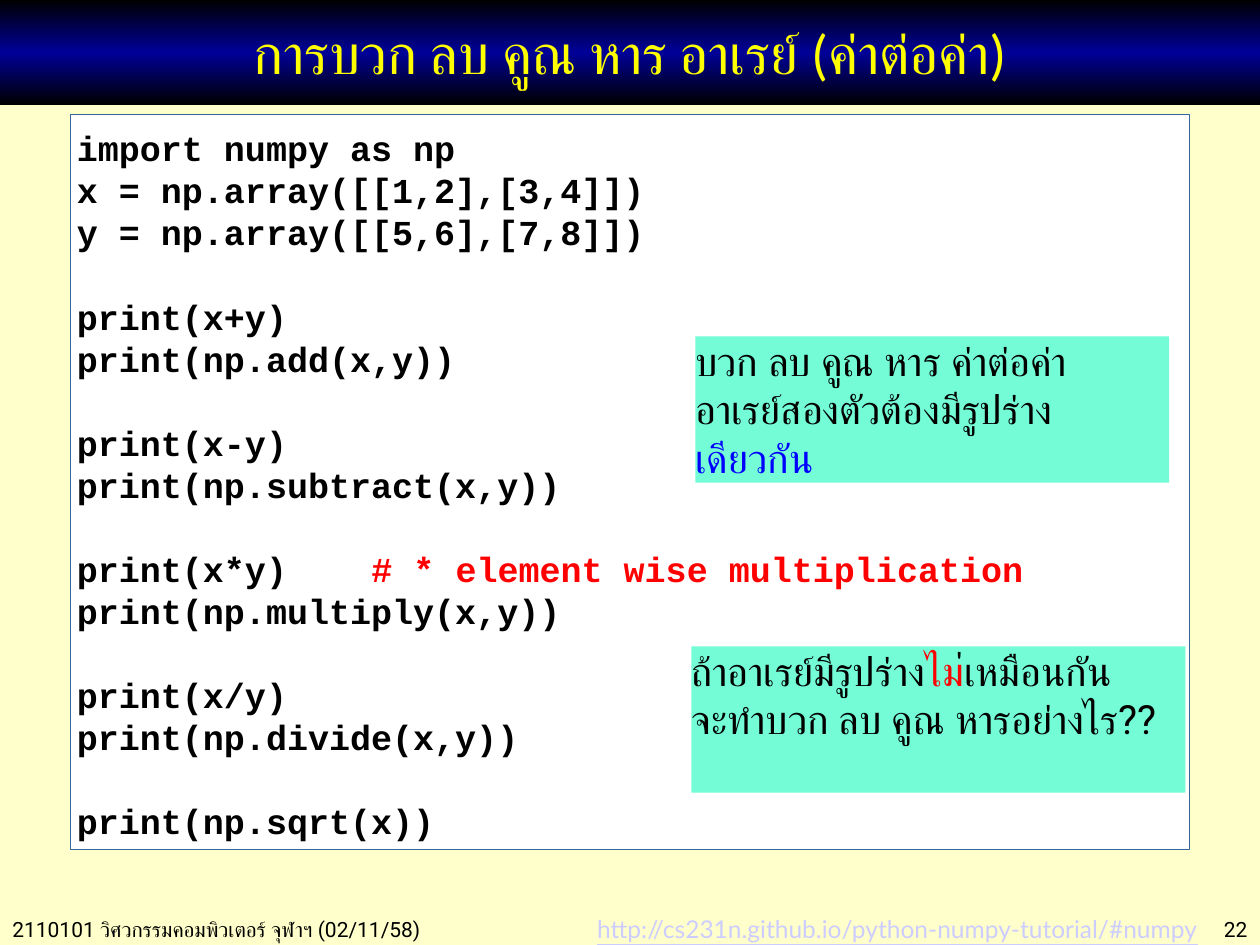
"""Build a lecture slide on element-wise array arithmetic in NumPy."""
from copy import deepcopy

from lxml.etree import SubElement
from pptx import Presentation
from pptx.dml.color import RGBColor
from pptx.enum.shapes import MSO_SHAPE
from pptx.enum.text import MSO_ANCHOR, PP_ALIGN
from pptx.oxml.ns import qn
from pptx.util import Cm, Pt


def color(value):
    return RGBColor.from_string(value)


def write(shape, lines, font="Roboto", size=12, fill="000000", bold=False, underline=False,
          align=PP_ALIGN.LEFT, anchor=MSO_ANCHOR.TOP, wrap=True, insets=(0.25, 0.13, 0.25, 0.13),
          pitch=None):
    frame = shape.text_frame
    frame.word_wrap = wrap
    frame.vertical_anchor = anchor
    frame.margin_left, frame.margin_top, frame.margin_right, frame.margin_bottom = map(Cm, insets)
    paragraph, gap = frame.paragraphs[0], 0
    for index, line in enumerate(lines):
        if not line:
            gap += pitch
            continue
        if index:
            paragraph = frame.add_paragraph()
        paragraph.alignment = align
        if pitch:
            paragraph.line_spacing = Pt(pitch)
        if gap:
            paragraph.space_before, gap = Pt(gap), 0
        for text, run_fill in [(line, fill)] if isinstance(line, str) else line:
            run = paragraph.add_run()
            run.text = text
            run.font.name, run.font.size = font, Pt(size)
            run.font.bold, run.font.underline = bold, underline
            run.font.color.rgb = color(run_fill)
            SubElement(run.font._element, qn("a:cs"), typeface=font)


presentation = Presentation()
presentation.slide_width, presentation.slide_height = Cm(25.4), Cm(19.05)
slide = presentation.slides.add_slide(presentation.slide_layouts[5])
slide.background.fill.solid()
slide.background.fill.fore_color.rgb = color("FFFFCC")

title = slide.shapes.title
title.left, title.top, title.width, title.height = Cm(0), Cm(0), Cm(25.4), Cm(2.11)
title.fill.gradient()
title.fill.gradient_angle = 90
first_stop = title.fill.gradient_stops[0]._gs
first_stop.addnext(deepcopy(first_stop))
for stop, position, value in zip(title.fill.gradient_stops, (0, 0.5, 1), ("000000", "000099", "000000")):
    stop.position = position
    stop.color.rgb = color(value)
write(title, ["การบวก ลบ คูณ หาร อาเรย์ (ค่าต่อค่า)"], font="Calibri", size=32, fill="FFFF00",
      align=PP_ALIGN.CENTER, anchor=MSO_ANCHOR.MIDDLE)

code = [
    "import numpy as np",
    "x = np.array([[1,2],[3,4]])",
    "y = np.array([[5,6],[7,8]])",
    "",
    "print(x+y)",
    "print(np.add(x,y))",
    "",
    "print(x-y)",
    "print(np.subtract(x,y))",
    "",
    [("print(x*y)    ", "000000"), ("# * element wise multiplication", "FF0000")],
    "print(np.multiply(x,y))",
    "",
    "print(x/y)",
    "print(np.divide(x,y))",
    "",
    "print(np.sqrt(x))",
]
same_shape_note = [
    "บวก ลบ คูณ หาร ค่าต่อค่า",
    [("อาเรย์สองตัวต้องมีรูปร่าง", "000000"), ("เดียวกัน", "0000FF")],
]
other_shape_note = [
    [("ถ้าอาเรย์มีรูปร่าง", "000000"), ("ไม", "FF0000"), ("่เหมือนกัน", "000000")],
    "จะทำบวก ลบ คูณ หารอย่างไร??",
]
code_format = dict(font="Courier New", size=20, bold=True, pitch=24, insets=(0.13, 0.25, 0.13, 0.13))
note_format = dict(size=23, insets=(0, 0, 0, 0))
panels = [
    ((1.42, 2.31, 22.56, 14.81), "FFFFFF", "336699", code, code_format),
    ((14.02, 6.78, 9.55, 2.95), "73FCD6", None, same_shape_note, note_format),
    ((13.94, 13.03, 9.96, 2.95), "73FCD6", None, other_shape_note, note_format),
]
for box, fill, border, lines, text_format in panels:
    panel = slide.shapes.add_shape(MSO_SHAPE.RECTANGLE, *map(Cm, box))
    panel.shadow.inherit = False
    panel.fill.solid()
    panel.fill.fore_color.rgb = color(fill)
    if border:
        panel.line.color.rgb = color(border)
        panel.line.width = Pt(0.75)
    else:
        panel.line.fill.background()
    write(panel, lines, **text_format)

footers = [
    ((0, 18.34, 9.91, 0.76), "2110101 วิศวกรรมคอมพิวเตอร์ จุฬาฯ (02/11/58)", {}),
    ((21.89, 18.34, 3.51, 0.76), "22", dict(align=PP_ALIGN.RIGHT)),
    ((11.91, 18.29, 12.52, 0.81), "http://cs231n.github.io/python-numpy-tutorial/#numpy",
     dict(font="Lato", size=14, fill="CCCCFF", underline=True, wrap=False,
          insets=(0.13, 0.13, 0.13, 0.13))),
]
for box, text, text_format in footers:
    write(slide.shapes.add_textbox(*map(Cm, box)), [text], **text_format)

presentation.save("out.pptx")
